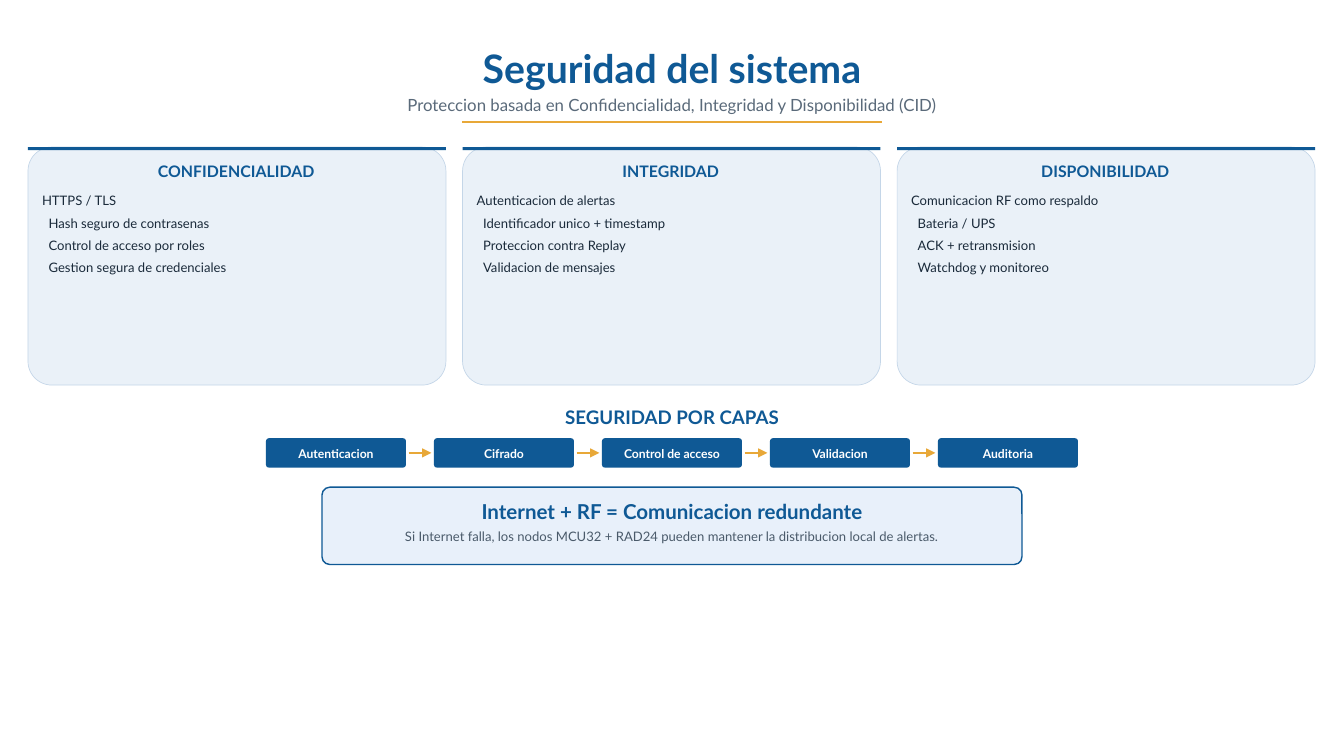
from dataclasses import dataclass

from lxml.etree import SubElement
from pptx import Presentation
from pptx.dml.color import RGBColor
from pptx.enum.shapes import MSO_CONNECTOR, MSO_SHAPE
from pptx.enum.text import MSO_ANCHOR, MSO_AUTO_SIZE, PP_ALIGN
from pptx.oxml.ns import qn
from pptx.util import Pt


@dataclass(frozen=True)
class Theme:
    """Colours, font and type sizes of the slide."""
    font: str = "Lato"
    blue: str = "0F5995"
    amber: str = "E8A838"
    card: str = "EAF1F8"
    card_edge: str = "C4D6E8"
    banner: str = "E8F0FA"
    ink: str = "1A2A3A"
    subtitle_grey: str = "5A6A7A"
    note_grey: str = "4A5A6A"
    white: str = "FFFFFF"
    title_size: float = 42
    banner_size: float = 22
    section_size: float = 20
    subtitle_size: float = 18
    heading_size: float = 17
    body_size: float = 14
    step_size: float = 13


THEME = Theme()
PILLARS = [
    ("CONFIDENCIALIDAD", ["HTTPS / TLS", "Hash seguro de contrasenas",
                          "Control de acceso por roles", "Gestion segura de credenciales"]),
    ("INTEGRIDAD", ["Autenticacion de alertas", "Identificador unico + timestamp",
                    "Proteccion contra Replay", "Validacion de mensajes"]),
    ("DISPONIBILIDAD", ["Comunicacion RF como respaldo", "Bateria / UPS",
                        "ACK + retransmision", "Watchdog y monitoreo"]),
]
LAYERS = ["Autenticacion", "Cifrado", "Control de acceso", "Validacion", "Auditoria"]


def apply(target, formats):
    """Set every attribute named in formats on target."""
    for name, value in formats.items():
        setattr(target, name, value)


def place(part, left, top, width, height):
    """Move and size a part, in points."""
    apply(part, {"left": Pt(left), "top": Pt(top), "width": Pt(width), "height": Pt(height)})


def prepare_frame(frame, anchor=MSO_ANCHOR.TOP, inset_top=0):
    """Give a text frame fixed size, wrapping and plain margins."""
    apply(frame, {"word_wrap": True, "auto_size": MSO_AUTO_SIZE.NONE, "vertical_anchor": anchor,
                  "margin_left": 0, "margin_right": 0, "margin_top": Pt(inset_top),
                  "margin_bottom": 0})


def write(paragraph, wording, size, color, leading, bold=False,
          align=PP_ALIGN.CENTER, indent=0, before=0):
    """Fill one unbulleted paragraph."""
    paragraph.text = wording
    properties = paragraph._p.get_or_add_pPr()
    properties.set("marL", str(Pt(indent)))
    properties.set("indent", "0")
    SubElement(properties, qn("a:buNone"))
    apply(paragraph, {"alignment": align, "line_spacing": Pt(leading),
                      "space_before": Pt(before), "space_after": Pt(0)})
    for run in paragraph.runs:
        apply(run.font, {"name": THEME.font, "size": Pt(size), "bold": bold})
        run.font.color.rgb = RGBColor.from_string(color)


def add_label(slide, box, wording, **style):
    """Add a one-line text box."""
    label = slide.shapes.add_textbox(*map(Pt, box))
    prepare_frame(label.text_frame)
    write(label.text_frame.paragraphs[0], wording, **style)


def add_panel(slide, box, fill, edge=None, weight=0, corner=None):
    """Add a flat rectangle, rounded when corner is given."""
    kind = MSO_SHAPE.RECTANGLE if corner is None else MSO_SHAPE.ROUNDED_RECTANGLE
    panel = slide.shapes.add_shape(kind, *map(Pt, box))
    panel.shadow.inherit = False
    panel.fill.solid()
    panel.fill.fore_color.rgb = RGBColor.from_string(fill)
    if corner is not None:
        panel.adjustments[0] = corner
    if edge:
        panel.line.color.rgb = RGBColor.from_string(edge)
        panel.line.width = Pt(weight)
    else:
        panel.line.fill.background()
    return panel


def add_rule(slide, start, end, y, weight, arrow=False):
    """Add a horizontal amber line, with an arrowhead on request."""
    rule = slide.shapes.add_connector(MSO_CONNECTOR.STRAIGHT, Pt(start), Pt(y), Pt(end), Pt(y))
    rule.line.color.rgb = RGBColor.from_string(THEME.amber)
    rule.line.width = Pt(weight)
    if arrow:
        SubElement(rule.line._get_or_add_ln(), qn("a:tailEnd"),
                   type="triangle", w="lg", len="lg")
    SubElement(rule._element.spPr, qn("a:effectLst"))


def add_header(slide, title, subtitle, left, top, width):
    """Place the title, the subtitle and the rule below them."""
    place(title, left, top, width, 52.5)
    prepare_frame(title.text_frame)
    write(title.text_frame.paragraphs[0], "Seguridad del sistema",
          THEME.title_size, THEME.blue, 54.6, bold=True)
    place(subtitle, left, top + 54.7, width, 24.5)
    prepare_frame(subtitle.text_frame)
    write(subtitle.text_frame.paragraphs[0],
          "Proteccion basada en Confidencialidad, Integridad y Disponibilidad (CID)",
          THEME.subtitle_size, THEME.subtitle_grey, 25.2)
    middle = left + width / 2
    add_rule(slide, middle - 224.7, middle + 224.7, top + 87.1, 2.25)


def add_pillar(slide, measures, heading, items, left, top, width, height):
    """Place a card with its top bar, heading and list of measures."""
    add_panel(slide, (left, top, width, height), THEME.card, THEME.card_edge, 0.75, 0.1)
    add_panel(slide, (left, top, width, 3.2), THEME.blue)
    add_label(slide, (left + 14.2, top + 13.8, width - 30, 22), heading,
              size=THEME.heading_size, color=THEME.blue, leading=22.1, bold=True)
    measures.element.getparent().append(measures.element)
    place(measures, left + 15, top + 42, width - 30, 91.5)
    frame = measures.text_frame
    prepare_frame(frame)
    for index, item in enumerate(items):
        paragraph = frame.add_paragraph() if index else frame.paragraphs[0]
        write(paragraph, item, THEME.body_size, THEME.ink, 23.8,
              align=PP_ALIGN.LEFT, indent=7 if index else 0)


def add_layers(slide, left, top, width, height):
    """Place the section heading and the chain of layers."""
    add_label(slide, (left, top, width, 26), "SEGURIDAD POR CAPAS",
              size=THEME.section_size, color=THEME.blue, leading=26, bold=True)
    step_width, gap, step_height = 150, 30, 31.5
    chain_width = len(LAYERS) * (step_width + gap) - gap
    step_top = top + height - step_height
    for index, layer in enumerate(LAYERS):
        step_left = left + (width - chain_width) / 2 + index * (step_width + gap)
        if index:
            add_rule(slide, step_left - gap + 2.75, step_left - 2.75,
                     step_top + step_height / 2, 1.5, arrow=True)
        step = add_panel(slide, (step_left, step_top, step_width, step_height),
                         THEME.blue, corner=0.1)
        prepare_frame(step.text_frame, MSO_ANCHOR.MIDDLE, inset_top=1)
        write(step.text_frame.paragraphs[0], layer, THEME.step_size, THEME.white, 15.6, bold=True)


def add_banner(slide, left, top, width, height):
    """Place the closing message in its outlined box."""
    banner = add_panel(slide, (left, top, width, height), THEME.banner, THEME.blue, 1.5, 0.1)
    frame = banner.text_frame
    prepare_frame(frame, inset_top=7.8)
    write(frame.paragraphs[0], "Internet + RF = Comunicacion redundante",
          THEME.banner_size, THEME.blue, 28.6, bold=True)
    write(frame.add_paragraph(),
          "Si Internet falla, los nodos MCU32 + RAD24 pueden mantener "
          "la distribucion local de alertas.",
          THEME.body_size, THEME.note_grey, 19.6, before=2.3)


def main():
    """Build and save the slide."""
    deck = Presentation()
    apply(deck, {"slide_width": Pt(1440), "slide_height": Pt(810)})
    slide = deck.slides.add_slide(deck.slide_layouts.get_by_name("Comparison"))
    title, subtitle, *lists = slide.placeholders
    add_header(slide, title, subtitle, 270, 43.2, 900)
    for index, (measures, (heading, items)) in enumerate(zip(lists, PILLARS)):
        add_pillar(slide, measures, heading, items, 30 + index * 465.6, 157.6, 447.8, 255)
    add_layers(slide, 420, 432.7, 600, 68.3)
    add_banner(slide, 345, 522, 750, 82.8)
    deck.save("out.pptx")


if __name__ == "__main__":
    main()
